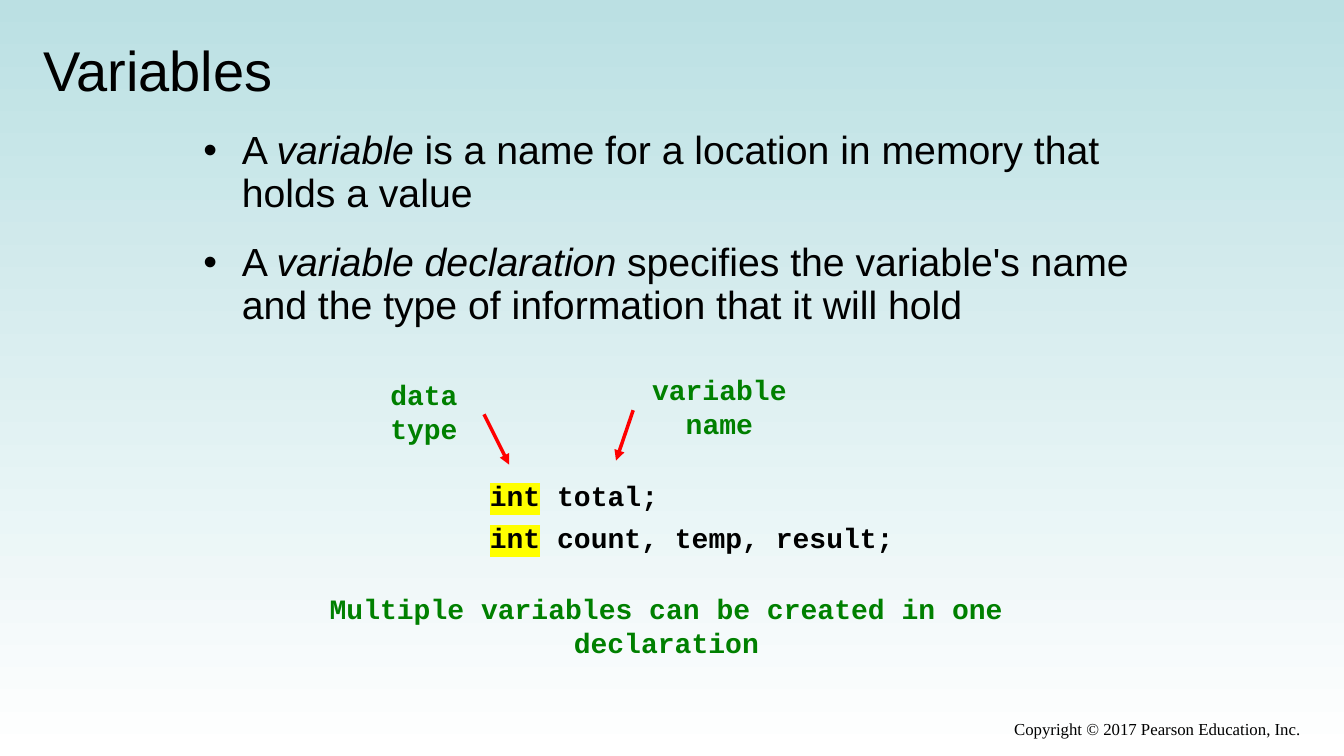
from pptx import Presentation
from pptx.dml.color import RGBColor
from pptx.enum.shapes import MSO_CONNECTOR
from pptx.enum.text import MSO_ANCHOR, PP_ALIGN
from pptx.oxml.ns import qn
from pptx.util import Inches, Pt
from lxml.etree import SubElement


def rgb(value):
    return RGBColor.from_string(value)


def add_text(box, paragraphs, size, font, color="000000", align=PP_ALIGN.LEFT):
    """Each paragraph is a list of (text, style) runs."""
    tf = s.shapes.add_textbox(*[Inches(v) for v in box]).text_frame
    tf.word_wrap = True
    for i, runs in enumerate(paragraphs):
        p = tf.paragraphs[0] if i == 0 else tf.add_paragraph()
        p.alignment = align
        for text, style in runs:
            r = p.add_run()
            r.text = text
            r.font.size = Pt(size)
            r.font.name = font
            r.font.color.rgb = rgb(color)
            r.font.bold = font == "Courier New"
            r.font.italic = style == "italic"
            if style == "highlight":
                rPr = r._r.get_or_add_rPr()
                highlight = SubElement(rPr, qn("a:highlight"))
                SubElement(highlight, qn("a:srgbClr"), val="FFFF00")
                rPr.find(qn("a:solidFill")).addnext(highlight)
    return tf


prs = Presentation()
prs.slide_width, prs.slide_height = Inches(13.33), Inches(7.5)
s = prs.slides.add_slide(prs.slide_layouts[6])

# Background gradient, top to bottom
fill = s.background.fill
fill.gradient()
fill.gradient_angle = 270
for stop, color, position in zip(fill.gradient_stops, ("BBE0E3", "FFFFFF"), (0, 1)):
    stop.color.rgb = rgb(color)
    stop.position = position

# Title
tf = add_text((0.33, 0.3, 12.67, 0.78), [[("Variables", "")]], 40, "Arial")
tf.vertical_anchor = MSO_ANCHOR.MIDDLE

# Bullets
bullets = [
    [("A ", ""), ("variable", "italic"),
     (" is a name for a location in memory that holds a value", "")],
    [("A ", ""), ("variable declaration ", "italic"),
     ("specifies the variable's name and the type of information that it will hold", "")],
]
tf = add_text((1.92, 1.25, 9.5, 2.04), bullets, 28, "Arial")
for i, p in enumerate(tf.paragraphs):
    pPr = p._p.get_or_add_pPr()
    pPr.set("marL", str(Inches(0.38)))
    pPr.set("indent", str(Inches(-0.38)))
    SubElement(pPr, qn("a:buFont"), typeface="Arial")
    SubElement(pPr, qn("a:buChar"), char="•")
    p.line_spacing = 0.9
    if i > 0:
        p.space_before = Pt(19.6)

# Code example
code = [[("int", "highlight"), (" total;", "")],
        [("int", "highlight"), (" count, temp, result;", "")]]
tf = add_text((4.76, 4.7, 4.24, 0.86), code, 20, "Courier New")
tf.paragraphs[0].space_after = Pt(6)

# Green labels
labels = [
    ("Multiple variables can be created in one declaration", (3.08, 5.82, 7.06, 0.43)),
    ("data type", (3.49, 3.7, 1.43, 0.44)),
    ("variable name", (6.1, 3.65, 2.07, 0.44)),
]
for text, box in labels:
    add_text(box, [[(text, "")]], 20, "Courier New", "008000", PP_ALIGN.CENTER)

# Arrows from labels to code
for ends in ((4.8, 4.11, 5.05, 4.61), (6.28, 4.07, 6.11, 4.57)):
    arrow = s.shapes.add_connector(MSO_CONNECTOR.STRAIGHT, *[Inches(v) for v in ends])
    arrow.line.color.rgb = rgb("FF0000")
    arrow.line.width = Pt(2.5)
    SubElement(arrow.line._get_or_add_ln(), qn("a:tailEnd"), type="triangle")
    SubElement(arrow._element.spPr, qn("a:effectLst"))

# Copyright line
add_text((4.89, 7.08, 8.11, 0.34), [[("Copyright © 2017 Pearson Education, Inc.", "")]],
         12, "Times New Roman", align=PP_ALIGN.RIGHT)

prs.save("out.pptx")
